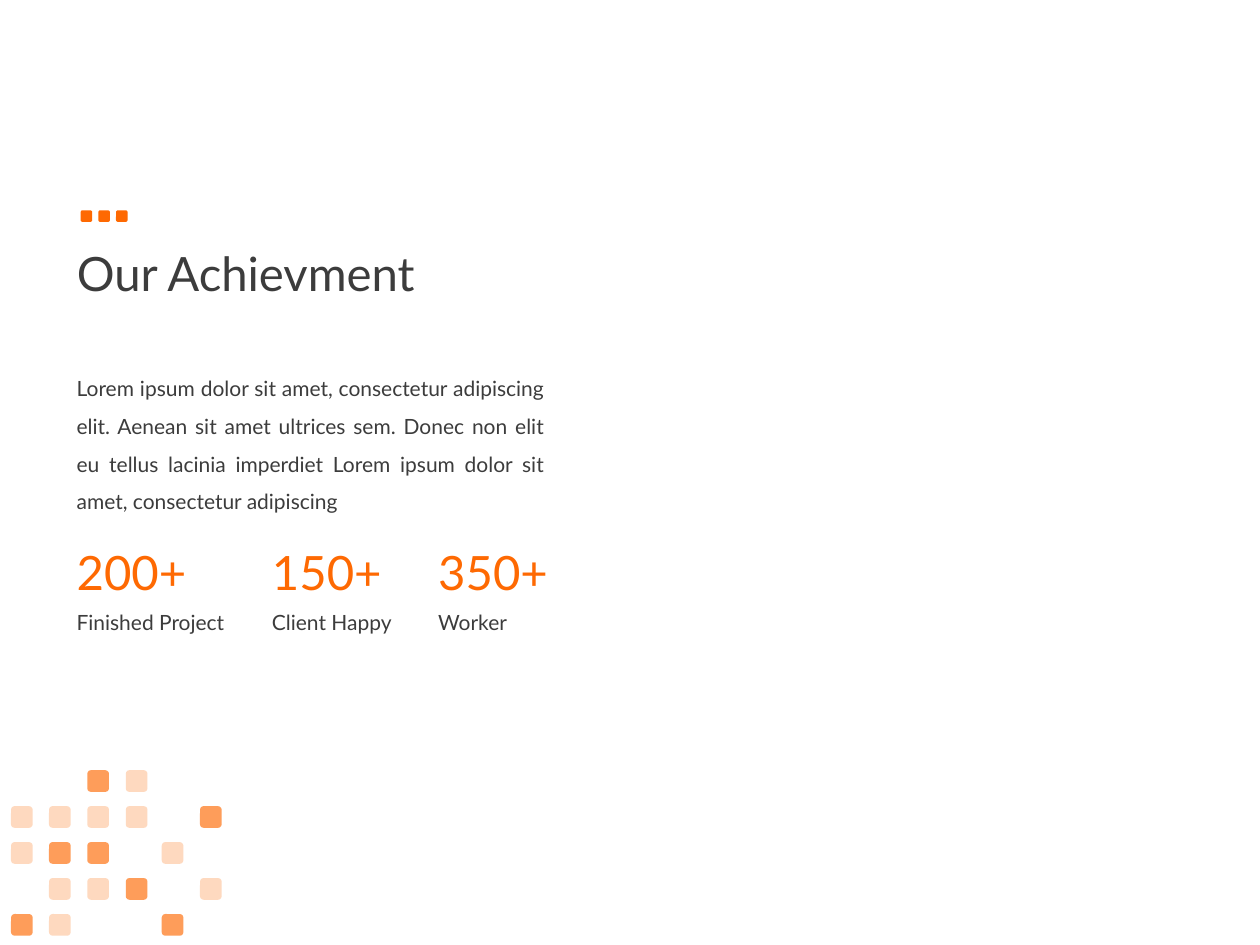
import lxml.etree
import pptx
import pptx.dml.color
import pptx.enum.shapes
import pptx.enum.text
import pptx.oxml.ns
import pptx.util

Pt = pptx.util.Pt
ALIGN = pptx.enum.text.PP_ALIGN
ANCHOR = pptx.enum.text.MSO_ANCHOR
AUTO_SIZE = pptx.enum.text.MSO_AUTO_SIZE

ORANGE = pptx.dml.color.RGBColor(0xFE, 0x69, 0x02)
CHARCOAL = pptx.dml.color.RGBColor(0x3C, 0x3C, 0x3C)
WHITE = pptx.dml.color.RGBColor(0xFF, 0xFF, 0xFF)

HEADING = {"name": "Lato", "size": Pt(27)}
BODY = {"name": "Lato", "size": Pt(12)}

BODY_TEXT = (
    "Lorem ipsum dolor sit amet, consectetur adipiscing elit. "
    "Aenean sit amet ultrices sem. Donec non elit eu tellus lacinia imperdiet "
    "Lorem ipsum dolor sit amet, consectetur adipiscing"
)
# Left offset within the row, number, label
STATS = [
    (0, "200+", "Finished Project"),
    (111.6, "150+", "Client Happy"),
    (206.64, "350+", "Worker"),
]
# One mark per tile: "#" strong, "o" pale, "." empty
MOSAIC = ["..#o..", "oooo.#", "o##.o.", ".oo#.o", "#o..#."]
MOSAIC_COLUMNS = [0, 21.7, 43.6, 65.6, 86.1, 108]
OPACITY = {"#": 65, "o": 25}


def place(shape, box):
    for name, value in zip(("left", "top", "width", "height"), box):
        setattr(shape, name, Pt(value))


def write(shape, text, font, color, **para_format):
    """Fill the shape with one formatted paragraph."""
    para = shape.text_frame.paragraphs[0]
    span = para.add_run()
    span.text = text
    for name, value in para_format.items():
        setattr(para, name, value)
    for name, value in font.items():
        setattr(span.font, name, value)
    span.font.color.rgb = color


def add_text(page, box, text, font, color, **para_format):
    shape = page.shapes.add_textbox(*map(Pt, box))
    shape.text_frame.word_wrap = True
    shape.text_frame.auto_size = AUTO_SIZE.SHAPE_TO_FIT_TEXT
    write(shape, text, font, color, **para_format)


def add_tile(group, left, top, size, opacity=100):
    tile = group.shapes.add_shape(
        pptx.enum.shapes.MSO_SHAPE.ROUNDED_RECTANGLE,
        Pt(left), Pt(top), Pt(size), Pt(size),
    )
    tile.shadow.inherit = False
    tile.line.fill.background()
    tile.fill.solid()
    tile.fill.fore_color.rgb = ORANGE
    if opacity < 100:
        qn = pptx.oxml.ns.qn
        color = tile._element.spPr.find(qn("a:solidFill")).find(qn("a:srgbClr"))
        lxml.etree.SubElement(color, qn("a:alpha"), val=str(opacity * 1000))


def add_title(page, box):
    title = page.shapes.title
    place(title, box)
    frame = title.text_frame
    frame.auto_size = AUTO_SIZE.NONE
    frame.vertical_anchor = ANCHOR.MIDDLE
    write(title, "Our Achievment", HEADING, CHARCOAL,
          alignment=ALIGN.LEFT, line_spacing=0.9)


def add_stats(page, box):
    left, top, width, height = box
    for offset, number, label in STATS:
        add_text(page, (left + offset, top, 85.7, 40.3), number, HEADING, ORANGE)
        add_text(page, (left + offset, top + 38.2, 126.7, height - 38.2),
                 label, BODY, CHARCOAL)


def add_mosaic(page, box):
    left, top, width, height = box
    size = width - MOSAIC_COLUMNS[-1]
    pitch = (height - size) / (len(MOSAIC) - 1)
    group = page.shapes.add_group_shape()
    for row, marks in enumerate(MOSAIC):
        for column, mark in zip(MOSAIC_COLUMNS, marks):
            if mark in OPACITY:
                add_tile(group, left + column, top + row * pitch, size, OPACITY[mark])


def add_dots(page, box):
    left, top, width, size = box
    group = page.shapes.add_group_shape()
    for index in range(3):
        add_tile(group, left + index * (width - size) / 2, top, size)


def build_achievement(page):
    page.background.fill.solid()
    page.background.fill.fore_color.rgb = WHITE
    add_title(page, (36.7, 105.8, 620.6, 104.4))
    add_stats(page, (36.7, 306.7, 333.4, 59.8))
    add_text(page, (36.7, 203.8, 281.5, 91.4), BODY_TEXT, BODY, CHARCOAL,
             alignment=ALIGN.JUSTIFY, line_spacing=1.5)
    add_mosaic(page, (6.3, 440.1, 120.4, 94.6))
    add_dots(page, (46.1, 120.2, 26.8, 6.6))


def main():
    deck = pptx.Presentation()
    deck.slide_width, deck.slide_height = Pt(720), Pt(540)
    build_achievement(deck.slides.add_slide(deck.slide_layouts[5]))
    deck.save("out.pptx")


if __name__ == "__main__":
    main()
